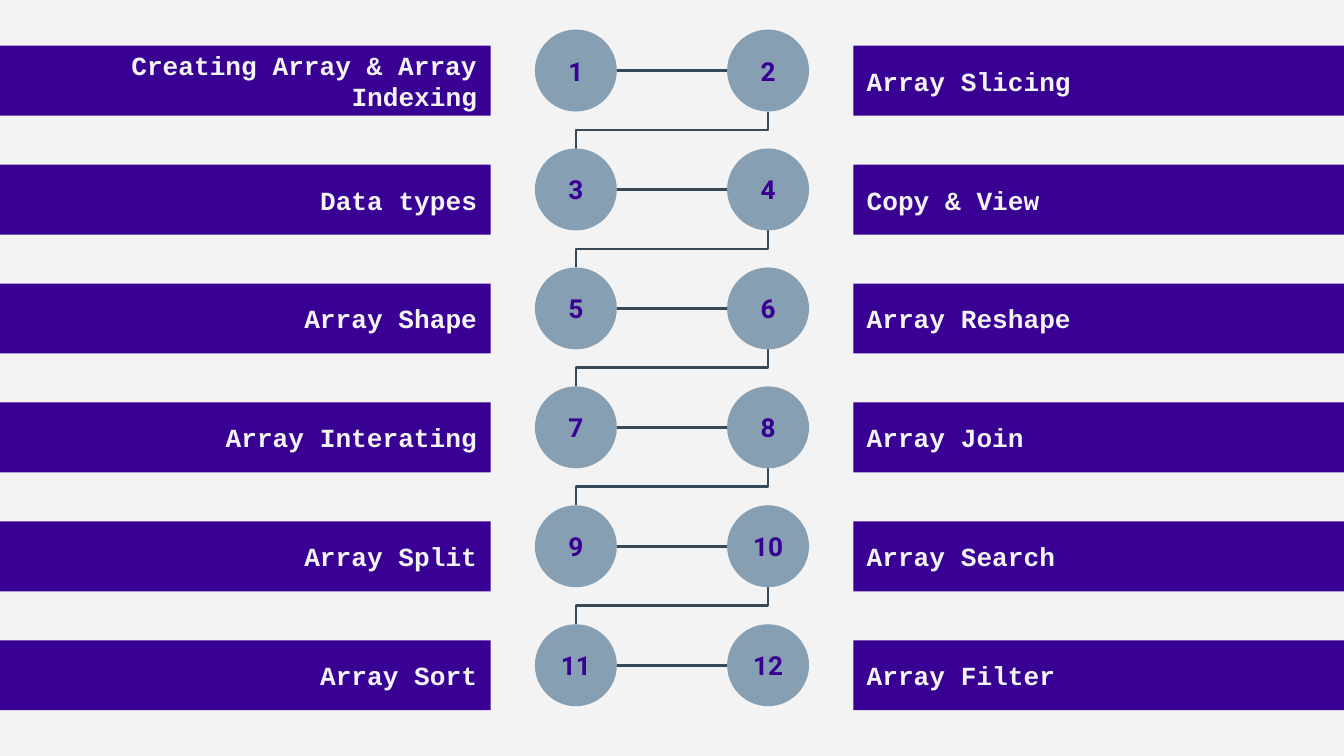
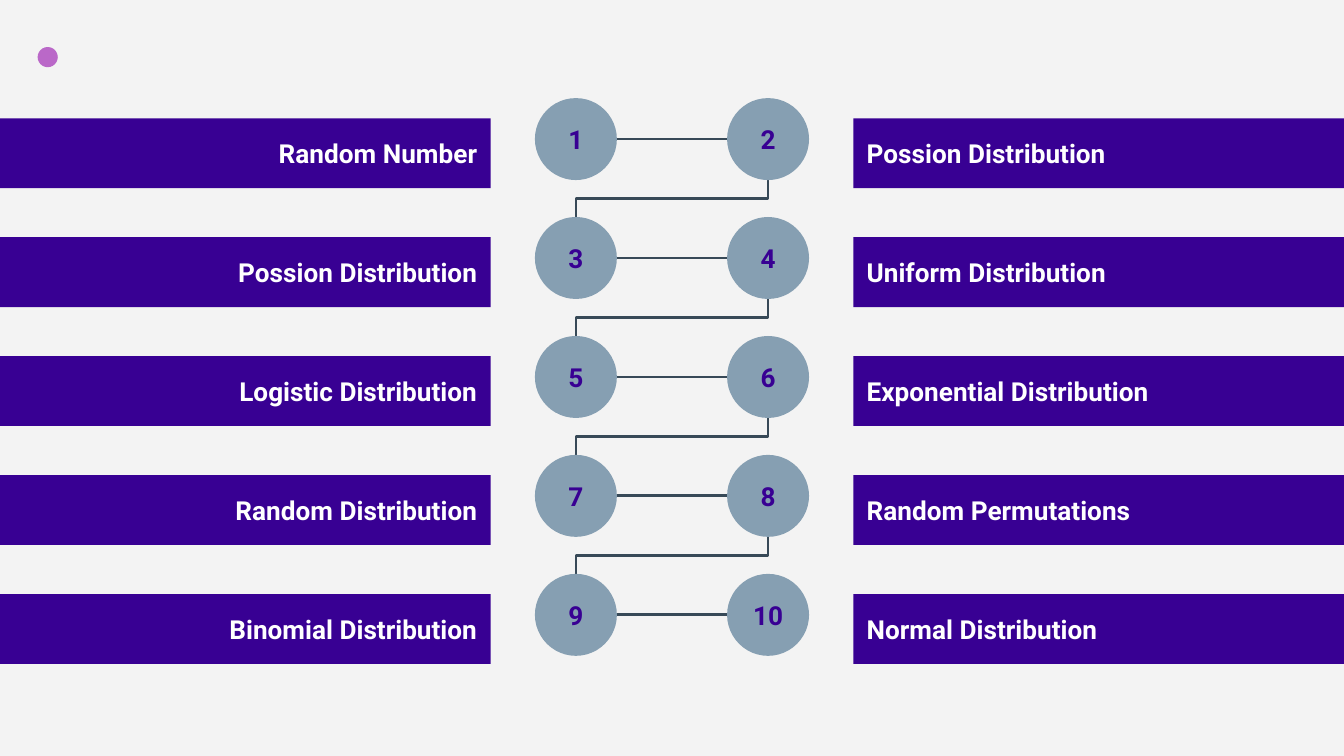
import dataclasses
import typing

import lxml.etree
import pptx
import pptx.dml.color
import pptx.enum.dml
import pptx.enum.shapes
import pptx.enum.text
import pptx.oxml.ns
import pptx.util

Inches = pptx.util.Inches
Align = pptx.enum.text.PP_ALIGN
Preset = pptx.enum.shapes.MSO_SHAPE


@dataclasses.dataclass(frozen=True)
class Theme:
    background: str = "F3F3F3"
    band: str = "380093"
    step: str = "869FB2"
    path_line: str = "374957"
    accent: str = "BA68C8"
    heading_font: str = "Roboto"
    code_font: str = "Courier New"
    text_size: int = 14
    line_width: float = 1.5


@dataclasses.dataclass(frozen=True)
class Roadmap:
    topics: tuple[tuple[str, str], ...]
    steps_top: int
    bands_top: int
    label_font: str
    label_color: str
    shows_dot: bool


THEME = Theme()
SLIDE_WIDTH = Inches(10)
SLIDE_HEIGHT = SLIDE_WIDTH * 9 // 16
ROW_PITCH = Inches(5.31) // 6
BAND_WIDTH = Inches(3.65)
BAND_HEIGHT = Inches(0.52)
STEP_SIZE = Inches(0.61)
STEP_LEFTS = (Inches(3.98), Inches(5.41))
INSET = Inches(0.1)

ROADMAPS = (
    Roadmap(
        topics=(
            ("Creating Array & Array Indexing", "Array Slicing"),
            ("Data types", "Copy & View"),
            ("Array Shape", "Array Reshape"),
            ("Array Interating", "Array Join"),
            ("Array Split", "Array Search"),
            ("Array Sort", "Array Filter"),
        ),
        steps_top=Inches(0.22),
        bands_top=Inches(0.34),
        label_font=THEME.code_font,
        label_color=THEME.background,
        shows_dot=False,
    ),
    Roadmap(
        topics=(
            ("Random Number", "Possion Distribution"),
            ("Possion Distribution", "Uniform Distribution"),
            ("Logistic Distribution", "Exponential Distribution"),
            ("Random Distribution", "Random Permutations"),
            ("Binomial Distribution", "Normal Distribution"),
        ),
        steps_top=Inches(0.73),
        bands_top=Inches(0.88),
        label_font=THEME.heading_font,
        label_color="FFFFFF",
        shows_dot=True,
    ),
)


def rgb(color: str) -> pptx.dml.color.RGBColor:
    return pptx.dml.color.RGBColor.from_string(color)


def add_filled(shapes: typing.Any, preset: typing.Any, left: int, top: int,
               width: int, height: int, color: str) -> typing.Any:
    shape = shapes.add_shape(preset, left, top, width, height)
    shape.shadow.inherit = False
    shape.fill.solid()
    shape.fill.fore_color.rgb = rgb(color)
    shape.line.fill.background()
    return shape


def write_text(shape: typing.Any, text: str, *, font: str, color: str,
               align: typing.Any, size: int = THEME.text_size,
               bold: bool = True) -> None:
    frame = shape.text_frame
    frame.word_wrap = True
    frame.vertical_anchor = pptx.enum.text.MSO_ANCHOR.MIDDLE
    frame.margin_left = frame.margin_right = INSET
    frame.margin_top = frame.margin_bottom = INSET
    paragraph = frame.paragraphs[0]
    paragraph.alignment = align
    run = paragraph.add_run()
    run.text = text
    run.font.name = font
    run.font.size = pptx.util.Pt(size)
    run.font.bold = bold
    run.font.color.rgb = rgb(color)


def add_elbow(shapes: typing.Any, left: int, top: int,
              width: int, height: int) -> typing.Any:
    elbow = shapes.add_connector(pptx.enum.shapes.MSO_CONNECTOR.ELBOW,
                                 left, top, left + width, top + height)
    elbow.line.color.rgb = rgb(THEME.path_line)
    elbow.line.width = pptx.util.Pt(THEME.line_width)
    lxml.etree.SubElement(elbow.element.spPr, pptx.oxml.ns.qn("a:effectLst"))
    return elbow


def add_row_link(shapes: typing.Any, top: int) -> None:
    add_elbow(shapes, STEP_LEFTS[0] + STEP_SIZE, top + STEP_SIZE // 2,
              STEP_LEFTS[1] - STEP_LEFTS[0] - STEP_SIZE, 0)


def add_turn_link(shapes: typing.Any, top: int) -> None:
    drop = ROW_PITCH - STEP_SIZE
    span = STEP_LEFTS[1] - STEP_LEFTS[0]
    center_x = (sum(STEP_LEFTS) + STEP_SIZE) // 2
    center_y = top + STEP_SIZE + drop // 2
    turn = add_elbow(shapes, center_x - drop // 2, center_y - span // 2, drop, span)
    turn.element.spPr.find(pptx.oxml.ns.qn("a:xfrm")).set("rot", str(90 * 60000))


def add_bands(slide: typing.Any, roadmap: Roadmap) -> None:
    sides = ((0, Align.RIGHT), (SLIDE_WIDTH - BAND_WIDTH, Align.LEFT))
    for row, topics in enumerate(roadmap.topics):
        top = roadmap.bands_top + row * ROW_PITCH
        for topic, (left, align) in zip(topics, sides):
            band = add_filled(slide.shapes, Preset.RECTANGLE, left, top,
                              BAND_WIDTH, BAND_HEIGHT, THEME.band)
            write_text(band, topic, font=roadmap.label_font,
                       color=roadmap.label_color, align=align)


def add_steps(slide: typing.Any, roadmap: Roadmap) -> None:
    shapes = slide.shapes.add_group_shape().shapes
    last_row = len(roadmap.topics) - 1
    for row in range(last_row + 1):
        top = roadmap.steps_top + row * ROW_PITCH
        add_row_link(shapes, top)
        if row < last_row:
            add_turn_link(shapes, top)
        for column, left in enumerate(STEP_LEFTS, start=1):
            step = add_filled(shapes, Preset.FLOWCHART_CONNECTOR, left, top,
                              STEP_SIZE, STEP_SIZE, THEME.step)
            write_text(step, str(2 * row + column), font=THEME.heading_font,
                       color=THEME.band, align=Align.CENTER)


def add_roadmap(presentation: typing.Any, roadmap: Roadmap) -> None:
    slide = presentation.slides.add_slide(presentation.slide_layouts[6])
    if roadmap.shows_dot:
        add_filled(slide.shapes, Preset.OVAL, Inches(0.28), Inches(0.35),
                   Inches(0.15), Inches(0.15), THEME.accent)
    add_bands(slide, roadmap)
    add_steps(slide, roadmap)


def main() -> None:
    presentation = pptx.Presentation()
    presentation.slide_width = SLIDE_WIDTH
    presentation.slide_height = SLIDE_HEIGHT
    backdrop = presentation.slide_master.background.fill
    backdrop.solid()
    backdrop.fore_color.rgb = rgb(THEME.background)
    for roadmap in ROADMAPS:
        add_roadmap(presentation, roadmap)
    presentation.save("out.pptx")


main()
